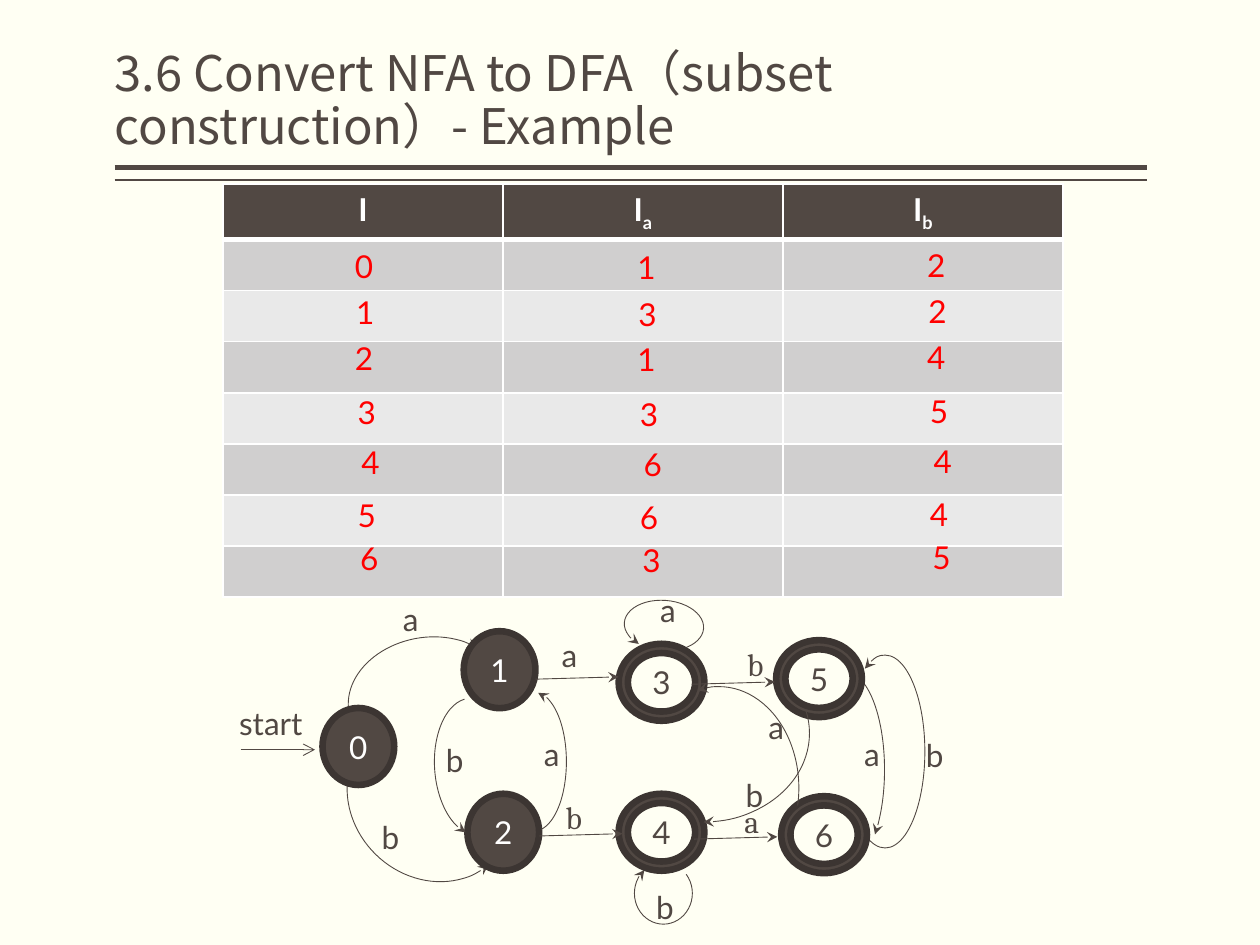
from pptx import Presentation
from pptx.util import Pt
from pptx.dml.color import RGBColor as RGB
from pptx.enum.shapes import MSO_SHAPE as Geo, MSO_CONNECTOR as Con
from pptx.enum.text import PP_ALIGN as Align, MSO_ANCHOR as Anchor, MSO_AUTO_SIZE as Fit
from pptx.oxml.ns import qn
from lxml.etree import SubElement as Sub

HUE = {"back": "FFFFF3", "dark": "514843", "edge": "3C3532", "red": "FF0000",
       "white": "FFFFFF", "odd": "D0CFCF", "even": "E9E9E9"}
SANS, SERIF, HAN = "Lato", "Cambria", "Noto Sans CJK SC"


def rgb(key):
    return RGB.from_string(HUE[key])


def paint(fill, key):
    fill.solid()
    fill.fore_color.rgb = rgb(key)


def write(para, text, size=18, font=SANS, hue="dark", bold=False, sub=False, align=None):
    if align is not None:
        para.alignment = align
    run = para.add_run()
    run.text = text
    run.font.size, run.font.name, run.font.bold = Pt(size), font, bold
    run.font.color.rgb = rgb(hue)
    props = run._r.get_or_add_rPr()
    Sub(props, qn("a:ea"), typeface=HAN)
    if sub:
        props.set("baseline", "-25000")


def label(slide, x, y, text, wide=25, **form):
    box = slide.shapes.add_textbox(Pt(x), Pt(y), Pt(wide), Pt(29))
    frame = box.text_frame
    frame.word_wrap = False
    frame.auto_size = Fit.SHAPE_TO_FIT_TEXT
    write(frame.paragraphs[0], text, **form)


def stroke(shape, width, head=None, tail=None):
    shape.line.color.rgb = rgb("dark")
    shape.line.width = Pt(width)
    line = shape.line._get_or_add_ln()
    for tag, kind in (("a:headEnd", head), ("a:tailEnd", tail)):
        if kind:
            Sub(line, qn(tag), type=kind)


def link(slide, x1, y1, x2, y2, width=0.5, tail=None):
    line = slide.shapes.add_connector(Con.STRAIGHT, Pt(x1), Pt(y1), Pt(x2), Pt(y2))
    stroke(line, width, tail=tail)
    Sub(line._element.spPr, qn("a:effectLst"))


def curve(slide, x, y, w, h, turn, start, stop, at_end, flip=False):
    arc = slide.shapes.add_shape(Geo.ARC, Pt(x), Pt(y), Pt(w), Pt(h))
    arc.shadow.inherit = False
    arc.rotation = turn
    arc.adjustments[0], arc.adjustments[1] = start, stop
    arc.fill.background()
    stroke(arc, 0.5, **{"tail" if at_end else "head": "stealth"})
    if flip:
        arc._element.spPr.find(qn("a:xfrm")).set("flipV", "1")


def node(slide, x, y, text, final):
    kind, wide = (Geo.DONUT, 49) if final else (Geo.OVAL, 41)
    dot = slide.shapes.add_shape(kind, Pt(x), Pt(y), Pt(wide), Pt(44))
    dot.shadow.inherit = False
    if final:
        dot.adjustments[0] = 0.12
    paint(dot.fill, "dark")
    dot.line.color.rgb = rgb("edge")
    dot.line.width = Pt(3.78)
    frame = dot.text_frame
    frame.margin_left = frame.margin_right = frame.margin_top = frame.margin_bottom = 0
    frame.vertical_anchor = Anchor.MIDDLE
    write(frame.paragraphs[0], text, hue="dark" if final else "white", align=Align.CENTER)


def title(slide, x, y, w, h):
    box = slide.shapes.add_textbox(Pt(x), Pt(y), Pt(w), Pt(h))
    frame = box.text_frame
    frame.word_wrap = True
    frame.margin_left = frame.margin_right = 0
    frame.vertical_anchor = Anchor.BOTTOM
    frame.paragraphs[0].line_spacing = 0.9
    write(frame.paragraphs[0], "3.6 Convert NFA to DFA（subset construction）- Example",
          size=28, font=HAN)
    for gap, width in ((3.6, 3), (10.8, 1)):
        link(slide, x, y + h + gap, x + w, y + h + gap, width)


def border(cell, low):
    props = cell._tc.get_or_add_tcPr()
    for spot, (tag, width) in enumerate((("L", 1), ("R", 1), ("T", 1), ("B", low))):
        line = props.makeelement(qn("a:ln" + tag), {"w": str(Pt(width))})
        Sub(Sub(line, qn("a:solidFill")), qn("a:srgbClr"), val=HUE["white"])
        props.insert(spot, line)


def grid(slide, x, y, w, h):
    table = slide.shapes.add_table(8, 3, Pt(x), Pt(y), Pt(w), Pt(h)).table
    for row in range(8):
        table.rows[row].height = Pt(h / 8)
        for col in range(3):
            cell = table.cell(row, col)
            paint(cell.fill, "dark" if row == 0 else "odd" if row % 2 else "even")
            border(cell, 3 if row == 0 else 1)
    for col, mark in enumerate(("", "a", "b")):
        para = table.cell(0, col).text_frame.paragraphs[0]
        write(para, "I", hue="white", bold=True, align=Align.CENTER)
        if mark:
            write(para, mark, hue="white", bold=True, sub=True)


def states(slide, x, y):
    cols = (("0123456", 0, 0), ("1313663", 161.3, 0.9), ("2245445", 327, -0.7))
    spots = ((68.4, 32.4), (69.1, 59), (68.4, 85), (69.9, 115.9),
             (72, 144.7), (69.9, 175), (71.3, 199.5))
    for digits, right, down in cols:
        for digit, (dx, dy) in zip(digits, spots):
            label(slide, x + dx + right, y + dy + down, digit, 23.8, hue="red")


def graph(slide, x, y):
    curves = (
        (302.4, 94.3, 110.9, 43.2, 90, 110.15, 201.85, True),
        (72.7, 40.3, 90, 69.1, 349.3, 105.5, 195.74, True),
        (69.8, 87.1, 100.8, 90, 224.2, 110.97, 195.21, False),
        (324.7, 82.8, 110.2, 45.4, 90, 99.75, 7.75, False),
        (239, 10.8, 28.8, 45.4, 94.3, 29.7, 185.9, False),
        (235.4, 169.9, 35.3, 33.1, 90, 138.14, 84.42, True))
    over = (
        (226.8, 80.6, 115.9, 91.4, 90, 100.6, 169.43, False),
        (224.6, 33.8, 101.5, 122.4, 90, 154.5, 215.58, True),
        (105.8, 91.4, 78.5, 45.4, 266.2, 114.81, 213.33, False),
        (139.7, 92.9, 79.2, 36.7, 270, 111.52, 214.09, True, True))
    nodes = (("0", 58.3, 80.6), ("1", 139, 36.7), ("2", 141.1, 129.6),
             ("3", 227.5, 43.9), ("4", 227.5, 129.6), ("5", 317.5, 41.8),
             ("6", 320.4, 131))
    marks = (("a", 177.8, 92.2), ("b", 85, 139.7), ("a", 360.7, 92.2),
             ("b", 396, 92.9), ("a", 244.1, 10.1), ("b", 293, 115.9),
             ("a", 97.2, 15.1), ("b", 121.7, 95.8), ("a", 187.9, 36),
             ("a", 306, 77), ("b", 241.9, 180))
    serifs = (("b", 293.8, 41), ("b", 190.1, 128.2), ("a", 292.3, 131))
    for dx, dy, *rest in curves:
        curve(slide, x + dx, y + dy, *rest)
    for text, dx, dy in nodes:
        node(slide, x + dx, y + dy, text, text in "3456")
    for dx, dy, *rest in over:
        curve(slide, x + dx, y + dy, *rest)
    for dx, dy in ((180, 64.1), (269.3, 67), (182.2, 153.7), (270.7, 155.5)):
        link(slide, x + dx, y + dy, x + dx + 47.5, y + dy - 1.3, tail="stealth")
    link(slide, x + 11.5, y + 104.4, x + 54, y + 104.4, tail="arrow")
    label(slide, x + 3.6, y + 74.9, "start", 52.6)
    for font, group in ((SANS, marks), (SERIF, serifs)):
        for text, dx, dy in group:
            label(slide, x + dx, y + dy, text, font=font)


def main():
    deck = Presentation()
    deck.slide_width, deck.slide_height = Pt(720), Pt(540)
    slide = deck.slides.add_slide(deck.slide_layouts[6])
    paint(slide.background.fill, "back")
    title(slide, 65.5, 5.8, 589.7, 86.4)
    graph(slide, 126, 324)
    grid(slide, 127.4, 105.1, 480, 233.6)
    states(slide, 127.4, 105.1)
    deck.save("out.pptx")


if __name__ == "__main__":
    main()
